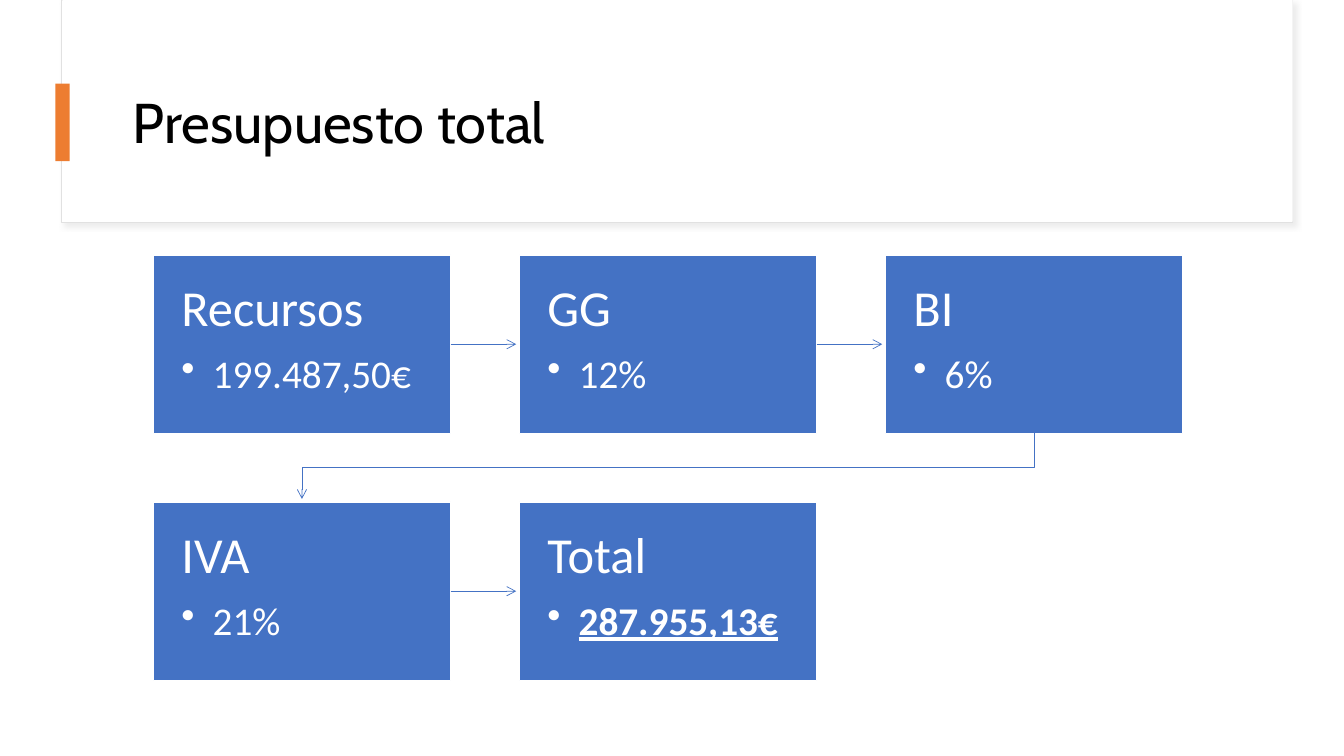
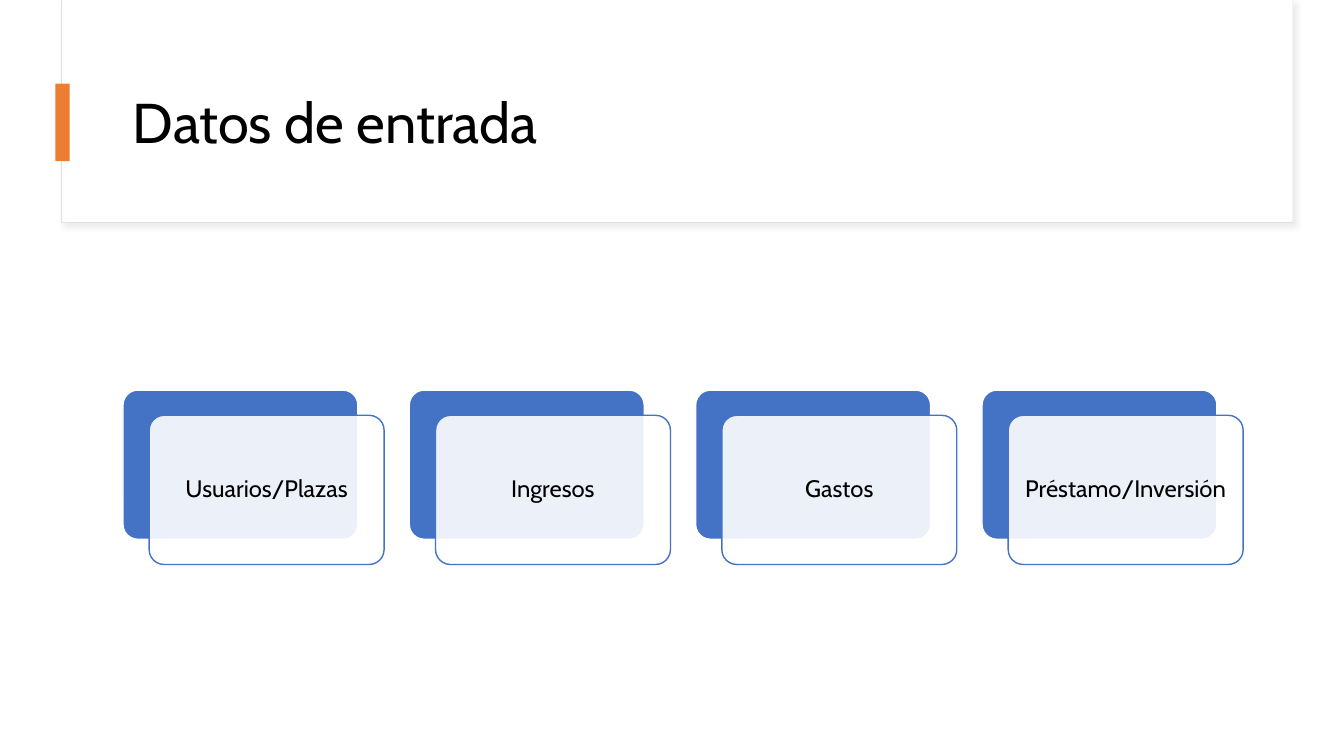
from lxml import etree
from pptx import Presentation
from pptx.dml.color import RGBColor
from pptx.enum.shapes import MSO_CONNECTOR, MSO_SHAPE
from pptx.enum.text import MSO_ANCHOR, PP_ALIGN
from pptx.oxml.ns import qn
from pptx.util import Inches, Pt

RECTANGLE = MSO_SHAPE.RECTANGLE
ROUNDED = MSO_SHAPE.ROUNDED_RECTANGLE
STRAIGHT = MSO_CONNECTOR.STRAIGHT
TOP, MIDDLE = MSO_ANCHOR.TOP, MSO_ANCHOR.MIDDLE
LEFT, CENTER = PP_ALIGN.LEFT, PP_ALIGN.CENTER

COLORS = {
    "white": "FFFFFF",
    "black": "000000",
    "blue": "4472C4",
    "orange": "ED7D31",
    "frame": "E1E1E1",
    "shadow": "D9D9D9",
}
TITLE_FONT, BODY_FONT = "Cabin", "Calibri"


def add_element(parent, tag, **attributes):
    element = etree.SubElement(parent, qn(tag))
    for name, value in attributes.items():
        element.set(name, str(value))
    return element


class Deck:
    """Holds the shared style and the slide being built."""

    def __init__(self):
        self.presentation = Presentation()
        self.presentation.slide_width = Inches(13.33)
        self.presentation.slide_height = Inches(7.5)
        self.slide = None

    def color(self, name):
        return RGBColor.from_string(COLORS[name])

    def start_slide(self, title):
        self.slide = self.presentation.slides.add_slide(self.presentation.slide_layouts[6])
        frame = self.box(0.61, 0, 12.21, 2.21, "white", line="frame", line_width=0.75)
        self.drop_shadow(frame)
        self.box(0.62, 0, 12.2, 2.2, "white")
        title_box = self.slide.shapes.add_textbox(
            Inches(1.22), Inches(0.6), Inches(11.12), Inches(1.29))
        self.prepare_text(title_box, MIDDLE)
        self.add_text(title_box.text_frame.paragraphs[0], title, 40, TITLE_FONT, "black")
        self.box(0.55, 0.83, 0.14, 0.77, "orange")

    def box(self, left, top, width, height, fill, line=None, line_width=1,
            kind=RECTANGLE, opacity=None):
        shape = self.slide.shapes.add_shape(
            kind, Inches(left), Inches(top), Inches(width), Inches(height))
        shape.shadow.inherit = False
        shape.fill.solid()
        shape.fill.fore_color.rgb = self.color(fill)
        if opacity is not None:
            fill_color = shape._element.spPr.find(qn("a:solidFill"))[0]
            add_element(fill_color, "a:alpha", val=opacity * 1000)
        if line:
            shape.line.color.rgb = self.color(line)
            shape.line.width = Pt(line_width)
        else:
            shape.line.fill.background()
        if kind == ROUNDED:
            shape.adjustments[0] = 0.1
        return shape

    def drop_shadow(self, shape):
        effects = shape._element.spPr.find(qn("a:effectLst"))
        shadow = add_element(effects, "a:outerShdw", blurRad=Pt(4), dist=Pt(3),
                             dir=45 * 60000, algn="tl", rotWithShape=0)
        shadow_color = add_element(shadow, "a:srgbClr", val=COLORS["shadow"])
        add_element(shadow_color, "a:alpha", val=50000)

    def prepare_text(self, shape, anchor, inset=None):
        text_frame = shape.text_frame
        text_frame.word_wrap = True
        text_frame.vertical_anchor = anchor
        if inset is not None:
            text_frame.margin_left = text_frame.margin_right = Inches(inset)
            text_frame.margin_top = text_frame.margin_bottom = Inches(inset)

    def add_text(self, paragraph, text, size, font, color, align=LEFT, strong=False):
        paragraph.alignment = align
        paragraph.line_spacing = 0.9
        run = paragraph.add_run()
        run.text = text
        run.font.size = Pt(size)
        run.font.name = font
        run.font.color.rgb = self.color(color)
        if strong:
            run.font.bold = run.font.underline = True

    def bullet(self, paragraph):
        properties = paragraph._p.get_or_add_pPr()
        properties.set("marL", str(Inches(0.31)))
        properties.set("indent", str(Inches(-0.31)))
        add_element(properties, "a:buChar", char="•")

    def step(self, left, top, width, height, heading, amount, strong):
        """Blue box with a heading and one bulleted amount."""
        shape = self.box(left, top, width, height, "blue", line="white")
        self.prepare_text(shape, TOP, 0.28)
        paragraph = shape.text_frame.paragraphs[0]
        self.add_text(paragraph, heading, 36, BODY_FONT, "white")
        paragraph.space_after = Pt(12)
        paragraph = shape.text_frame.add_paragraph()
        self.bullet(paragraph)
        self.add_text(paragraph, amount, 28, BODY_FONT, "white", strong=strong)

    def card(self, left, top, width, height, label):
        """Blue card with a translucent labelled card in front."""
        self.box(left, top, width, height, "blue", line="white", kind=ROUNDED)
        front = self.box(left + 0.26, top + 0.25, width, height, "white",
                         line="blue", kind=ROUNDED, opacity=90)
        self.prepare_text(front, MIDDLE, 0.07)
        self.add_text(front.text_frame.paragraphs[0], label, 17, TITLE_FONT, "black", CENTER)

    def arrow(self, *points):
        """Arrow through the points: a connector if straight, else a bent outline."""
        corners = [(Inches(x), Inches(y)) for x, y in points]
        if len(corners) == 2:
            arrow = self.slide.shapes.add_connector(STRAIGHT, *corners[0], *corners[1])
            add_element(arrow._element.spPr, "a:effectLst")
        else:
            builder = self.slide.shapes.build_freeform(*corners[0])
            builder.add_line_segments(corners[1:], close=False)
            arrow = builder.convert_to_shape()
            arrow.fill.background()
            arrow.shadow.inherit = False
        arrow.line.color.rgb = self.color("blue")
        arrow.line.width = Pt(0.5)
        add_element(arrow._element.spPr.find(qn("a:ln")), "a:tailEnd", type="arrow")


def build_budget(deck):
    deck.start_slide("Presupuesto total")
    steps = [("Recursos", "199.487,50€"), ("GG", "12%"), ("BI", "6%"),
             ("IVA", "21%"), ("Total", "287.955,13€")]
    columns = 3
    width, height = 2.95, 1.77
    left, top = 1.52, 2.53
    column_step, row_step = 3.63, 2.45
    gap = 0.03
    last = len(steps) - 1
    for index, (heading, amount) in enumerate(steps):
        row, column = divmod(index, columns)
        x, y = left + column * column_step, top + row * row_step
        deck.step(x, y, width, height, heading, amount, strong=index == last)
        if index == last:
            continue
        if column < columns - 1:
            middle = y + height / 2
            deck.arrow((x + width, middle), (x + column_step - gap, middle))
        else:
            start, end = x + width / 2, left + width / 2
            bottom, next_top = y + height, y + row_step
            turn = (bottom + next_top) / 2
            deck.arrow((start, bottom), (start, turn), (end, turn), (end, next_top - gap))


def build_inputs(deck):
    deck.start_slide("Datos de entrada")
    labels = ["Usuarios/Plazas", "Ingresos", "Gastos", "Préstamo/Inversión"]
    for index, label in enumerate(labels):
        deck.card(1.22 + index * 2.84, 3.87, 2.33, 1.48, label)


def main():
    deck = Deck()
    build_budget(deck)
    build_inputs(deck)
    deck.presentation.save("out.pptx")


if __name__ == "__main__":
    main()
